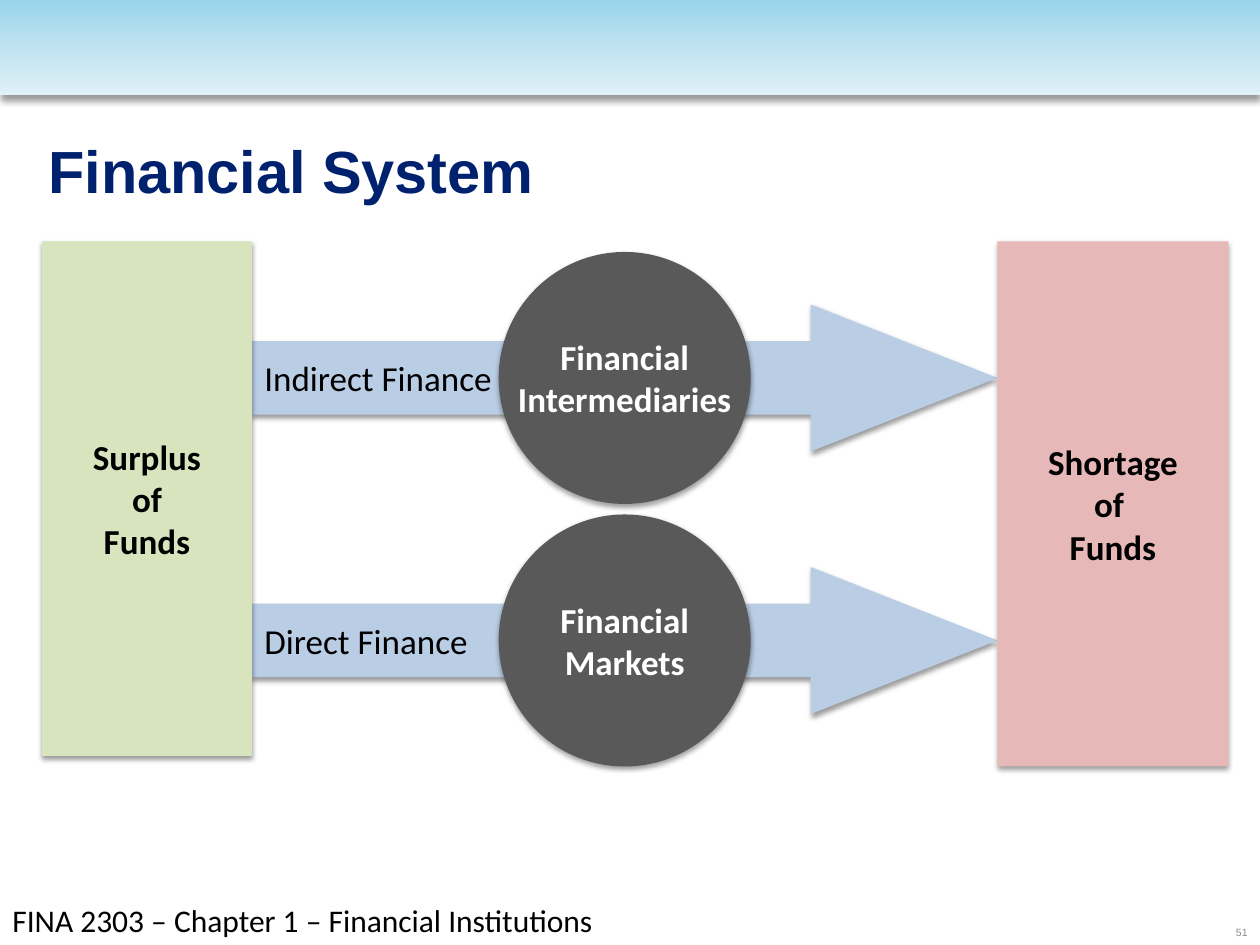
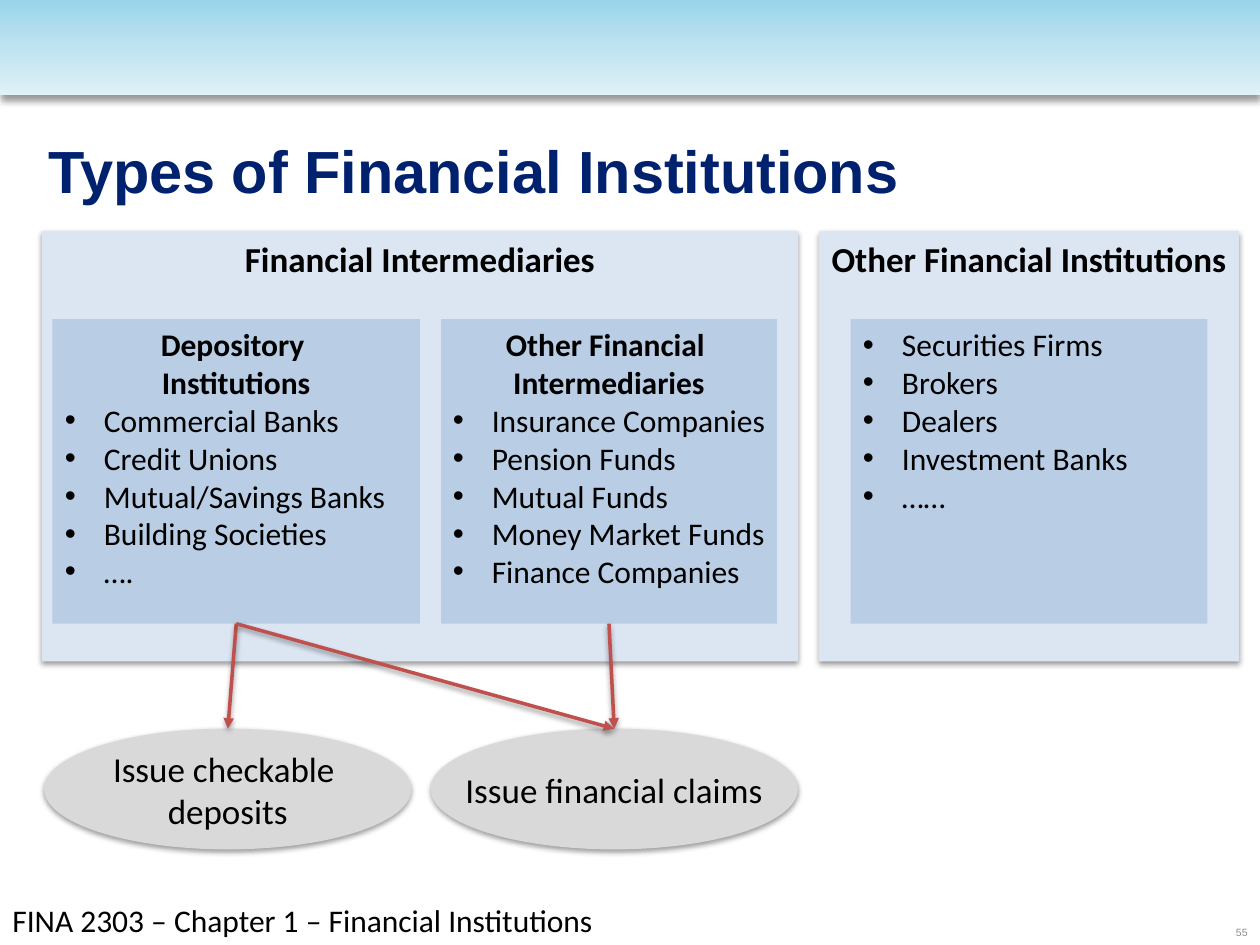
from dataclasses import dataclass
from typing import NamedTuple

from pptx import Presentation
from pptx.dml.color import RGBColor
from pptx.enum.shapes import MSO_CONNECTOR, MSO_SHAPE
from pptx.enum.text import MSO_ANCHOR as Anchor, MSO_AUTO_SIZE, PP_ALIGN as Align
from pptx.oxml import parse_xml
from pptx.oxml.ns import nsdecls, qn
from pptx.util import Inches, Pt

WIDTH, HEIGHT = Inches(10), Inches(7.5)
CELL = WIDTH / 120
TOP_SITE, BOTTOM_SITE = 0, 2
COLORS = {
    "title": "00216E", "ink": "000000", "white": "FFFFFF", "page": "8C8C8C",
    "flow": "B9CDE5", "hub": "595959", "surplus": "D7E4BD", "shortage": "E6B9B8",
    "panel": "DCE6F2", "card": "B9CDE5", "claim": "D9D9D9", "link": "C0504D",
}
BAND_STOPS = {0: "98D4EB", 50: "C0E3F1", 100: "E0F1F7"}
COURSE = "FINA 2303 – Chapter 1 – Financial Institutions"


class Area(NamedTuple):
    col: float
    row: float
    cols: float
    rows: float

    def emu(self) -> list[int]:
        return [round(cells * CELL) for cells in self]


class Shadow(NamedTuple):
    opacity: int
    blur: float
    distance: float


SOFT = Shadow(38, 3.1, 1.6)
BAND_SHADOW = Shadow(40, 4, 3)


@dataclass
class TextStyle:
    size: float = 20
    color: str = "ink"
    bold: bool = False
    align: Align = Align.CENTER
    face: str = "Calibri"
    bulleted: bool = False


@dataclass
class Block:
    area: Area
    fill: str
    lines: tuple[str, ...] = ()
    style: TextStyle | None = None
    items: tuple[str, ...] = ()
    kind: MSO_SHAPE = MSO_SHAPE.RECTANGLE
    anchor: Anchor = Anchor.MIDDLE
    shadow: Shadow | None = SOFT


TITLE = TextStyle(34, "title", True, Align.LEFT, "Arial")
LABEL = TextStyle()
STRONG = TextStyle(bold=True)
HUB = TextStyle(color="white", bold=True)
FLOW = TextStyle(align=Align.LEFT)
CARD_HEAD = TextStyle(18, bold=True)
CARD_ITEM = TextStyle(18, align=Align.LEFT, bulleted=True)
FOOTER = TextStyle(18, align=Align.LEFT)
PAGE = TextStyle(6, "page", align=Align.RIGHT, face="Arial")


def rgb(name: str) -> RGBColor:
    return RGBColor.from_string(COLORS[name])


def set_shadow(properties, shadow: Shadow | None) -> None:
    effects = properties.find(qn("a:effectLst"))
    if effects is None:
        effects = parse_xml(f"<a:effectLst {nsdecls('a')}/>")
        properties.append(effects)
    if shadow:
        effects.append(parse_xml(
            f'<a:outerShdw {nsdecls("a")} blurRad="{Pt(shadow.blur)}" '
            f'dist="{Pt(shadow.distance)}" dir="5400000" rotWithShape="0">'
            f'<a:srgbClr val="000000"><a:alpha val="{shadow.opacity * 1000}"/>'
            "</a:srgbClr></a:outerShdw>"))


def format_paragraph(paragraph, style: TextStyle) -> None:
    paragraph.alignment = style.align
    font = paragraph.font
    font.name, font.size, font.bold = style.face, Pt(style.size), style.bold
    font.color.rgb = rgb(style.color)
    if style.bulleted:
        properties = paragraph._p.get_or_add_pPr()
        indent = Inches(0.31)
        properties.set("marL", str(indent))
        properties.set("indent", str(-indent))
        properties.insert(0, parse_xml(f'<a:buFont {nsdecls("a")} typeface="Arial"/>'))
        properties.insert(1, parse_xml(f'<a:buChar {nsdecls("a")} char="•"/>'))


def write(frame, entries: list[tuple[str, TextStyle]]) -> None:
    for index, (text, style) in enumerate(entries):
        paragraph = frame.add_paragraph() if index else frame.paragraphs[0]
        paragraph.text = text
        format_paragraph(paragraph, style)


def draw_block(slide, block: Block):
    shape = slide.shapes.add_shape(block.kind, *block.area.emu())
    shape.shadow.inherit = False
    shape.fill.solid()
    shape.fill.fore_color.rgb = rgb(block.fill)
    shape.line.fill.background()
    set_shadow(shape._element.spPr, block.shadow)
    if block.kind == MSO_SHAPE.RIGHT_ARROW:
        shape.adjustments[1] = 1.27
    frame = shape.text_frame
    frame.word_wrap = False
    frame.vertical_anchor = block.anchor
    write(frame, [(line, block.style) for line in block.lines]
          + [(item, CARD_ITEM) for item in block.items])
    return shape


def draw_link(slide, source, target) -> None:
    link = slide.shapes.add_connector(MSO_CONNECTOR.STRAIGHT, 0, 0, 0, 0)
    link.begin_connect(source, BOTTOM_SITE)
    link.end_connect(target, TOP_SITE)
    link.line.width = Pt(2)
    link.line.color.rgb = rgb("link")
    link.line._get_or_add_ln().append(
        parse_xml(f'<a:tailEnd {nsdecls("a")} type="triangle"/>'))
    set_shadow(link._element.spPr, SOFT)


def draw_note(slide, area: Area, text: str, style: TextStyle, anchor: Anchor) -> None:
    frame = slide.shapes.add_textbox(*area.emu()).text_frame
    frame.word_wrap = True
    frame.vertical_anchor = anchor
    write(frame, [(text, style)])


def add_band_to_master(prs, slide) -> None:
    band = slide.shapes.add_shape(MSO_SHAPE.RECTANGLE, *Area(0, 0, 120, 9.1).emu())
    band.shadow.inherit = False
    band.line.fill.background()
    band.fill.gradient()
    band.fill.gradient_angle = 270
    properties = band._element.spPr
    stops = properties.find(qn("a:gradFill")).find(qn("a:gsLst"))
    for stop in list(stops):
        stops.remove(stop)
    for position, color in BAND_STOPS.items():
        stops.append(parse_xml(f'<a:gs {nsdecls("a")} pos="{position * 1000}">'
                               f'<a:srgbClr val="{color}"/></a:gs>'))
    set_shadow(properties, BAND_SHADOW)
    prs.slide_master.shapes._spTree.insert(2, band._element)


def start_slide(prs, heading: str):
    slide = prs.slides.add_slide(prs.slide_layouts[5])
    title = slide.shapes.title
    title.left, title.top, title.width, title.height = Area(3.4, 10.1, 113.4, 12.1).emu()
    frame = title.text_frame
    frame.auto_size = MSO_AUTO_SIZE.NONE
    frame.vertical_anchor = Anchor.MIDDLE
    write(frame, [(heading, TITLE)])
    return slide


def finish_slide(slide, number: int) -> None:
    draw_note(slide, Area(0, 85.2, 116.6, 4.8), COURSE, FOOTER, Anchor.TOP)
    draw_note(slide, Area(104.9, 87.5, 15.1, 2.5), str(number), PAGE, Anchor.MIDDLE)


def build_system(prs):
    slide = start_slide(prs, "Financial System")
    routes = (("Indirect Finance", "Intermediaries"), ("Direct Finance", "Markets"))
    for index, (route, hub) in enumerate(routes):
        row = 24 + 25 * index
        draw_block(slide, Block(Area(24, row + 5, 71, 14), "flow", (route,), FLOW,
                                kind=MSO_SHAPE.RIGHT_ARROW))
        draw_block(slide, Block(Area(47.5, row, 24, 24), "hub", ("Financial", hub), HUB,
                                kind=MSO_SHAPE.OVAL))
    draw_block(slide, Block(Area(4, 23, 20, 49), "surplus",
                            ("Surplus", "of", "Funds"), STRONG))
    draw_block(slide, Block(Area(95, 23, 22, 50), "shortage",
                            ("Shortage", "of ", "Funds"), STRONG))
    finish_slide(slide, 51)
    return slide


def build_types(prs) -> None:
    slide = start_slide(prs, "Types of Financial Institutions")
    panels = ((4, 72, "Financial Intermediaries"), (78, 40, "Other Financial Institutions"))
    for col, cols, heading in panels:
        draw_block(slide, Block(Area(col, 22, cols, 41), "panel", (heading,), STRONG,
                                anchor=Anchor.TOP))
    cards = (
        (5, 35, ("Depository ", "Institutions"),
         ("Commercial Banks", "Credit Unions", "Mutual/Savings Banks",
          "Building Societies", "….")),
        (42, 32, ("Other Financial ", "Intermediaries"),
         ("Insurance Companies", "Pension Funds", "Mutual Funds",
          "Money Market Funds", "Finance Companies")),
        (81, 34, (),
         ("Securities Firms", "Brokers", "Dealers", "Investment Banks", "……")),
    )
    depository, other, _ = [
        draw_block(slide, Block(Area(col, 30.4, cols, 29), "card", heads, CARD_HEAD, items,
                                anchor=Anchor.TOP, shadow=None))
        for col, cols, heads, items in cards]
    issues = ((4.2, ("Issue checkable ", "deposits")), (41, ("Issue financial claims",)))
    deposits, claims = [
        draw_block(slide, Block(Area(col, 69.4, 35, 11.5), "claim", lines, LABEL,
                                kind=MSO_SHAPE.OVAL))
        for col, lines in issues]
    for source, target in ((depository, deposits), (other, claims), (depository, claims)):
        draw_link(slide, source, target)
    finish_slide(slide, 55)


def main() -> None:
    prs = Presentation()
    prs.slide_width, prs.slide_height = WIDTH, HEIGHT
    system = build_system(prs)
    add_band_to_master(prs, system)
    build_types(prs)
    prs.save("out.pptx")


if __name__ == "__main__":
    main()
